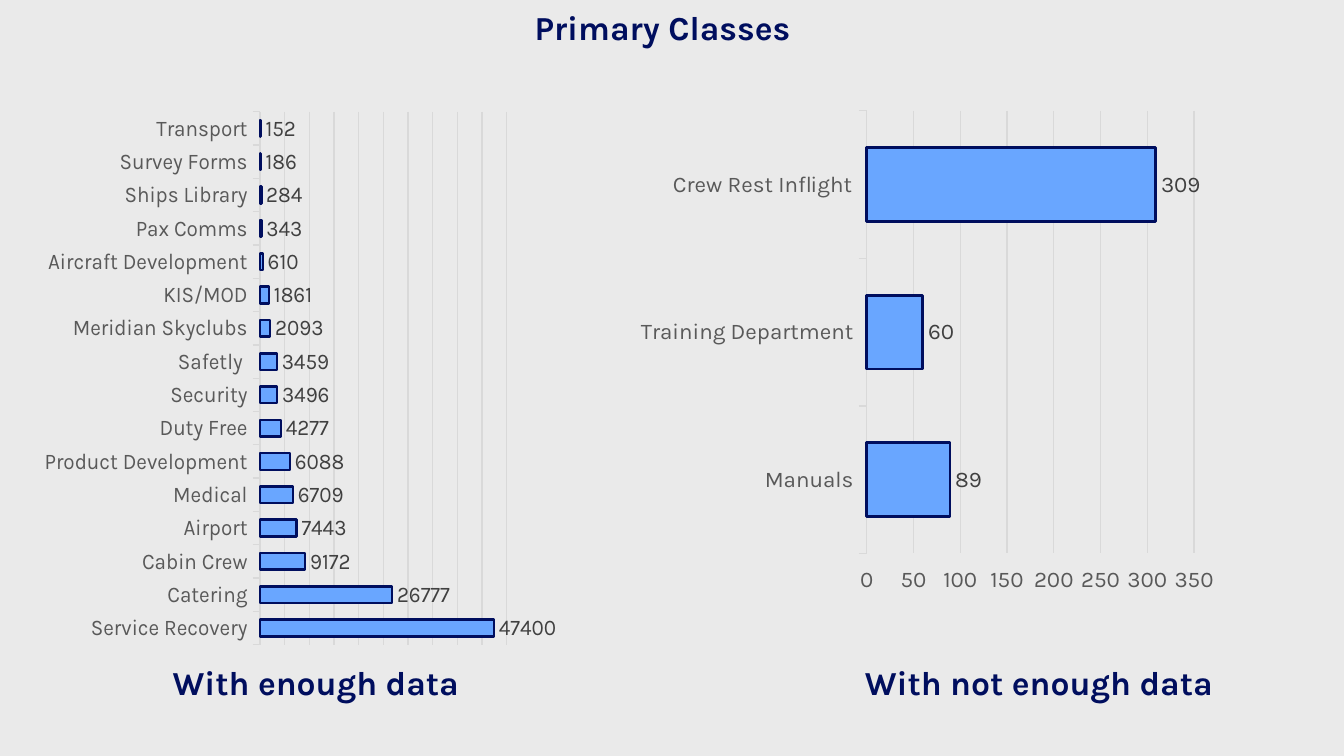
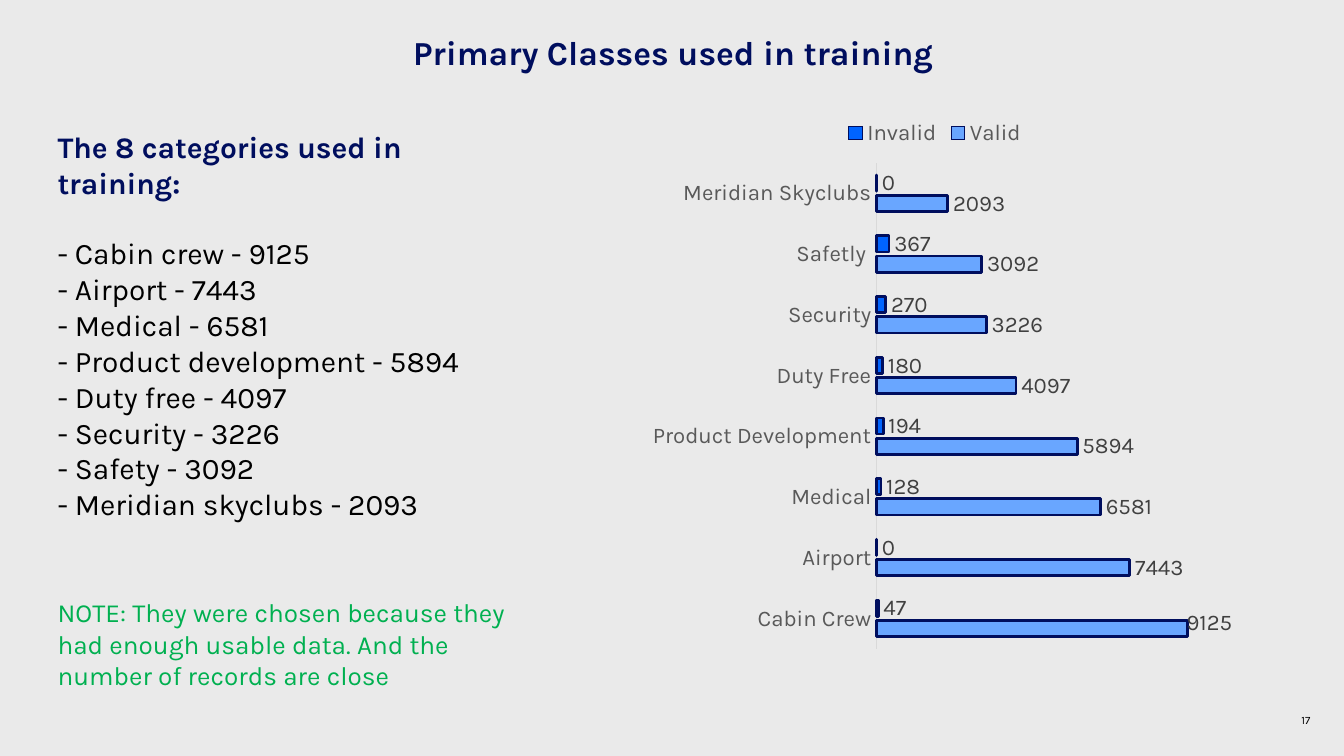
from lxml.etree import SubElement
from pptx import Presentation
from pptx.chart.data import CategoryChartData
from pptx.dml.color import RGBColor
from pptx.enum.chart import XL_CHART_TYPE, XL_LABEL_POSITION, XL_LEGEND_POSITION, XL_TICK_MARK
from pptx.enum.text import MSO_ANCHOR, MSO_AUTO_SIZE, PP_ALIGN
from pptx.oxml.ns import qn
from pptx.util import Inches, Pt

PAPER = RGBColor(0xEA, 0xEA, 0xEA)
NAVY = RGBColor(0x00, 0x0E, 0x5E)
SKY = RGBColor(0x69, 0xA6, 0xFF)
BLUE = RGBColor(0x00, 0x64, 0xFF)
GREEN = RGBColor(0x00, 0xB0, 0x50)
BLACK = RGBColor(0x00, 0x00, 0x00)
AXIS_GRAY = RGBColor(0x59, 0x59, 0x59)
LABEL_GRAY = RGBColor(0x40, 0x40, 0x40)
GRID_GRAY = RGBColor(0xD9, 0xD9, 0xD9)

FONT = "Karla"
TITLE = {"size": Pt(18), "bold": True, "color": NAVY}
HEADING = {"size": Pt(16), "bold": True, "color": NAVY}
LISTING = {"size": Pt(16), "color": BLACK}
NOTE = {"size": Pt(14), "color": GREEN}
PAGE_NUMBER = {"size": Pt(6), "color": BLACK}
AXIS_TEXT = {"size": Pt(12), "color": AXIS_GRAY}
LABEL_TEXT = {"size": Pt(12), "color": LABEL_GRAY}

TITLE_WIDTH, TITLE_HEIGHT = 4.7, 0.4

ENOUGH = {
    "Service Recovery": 47400, "Catering": 26777, "Cabin Crew": 9172, "Airport": 7443,
    "Medical": 6709, "Product Development": 6088, "Duty Free": 4277, "Security": 3496,
    "Safetly ": 3459, "Meridian Skyclubs": 2093, "KIS/MOD": 1861,
    "Aircraft Development": 610, "Pax Comms": 343, "Ships Library": 284,
    "Survey Forms": 186, "Transport": 152,
}
NOT_ENOUGH = {"Manuals": 89, "Training Department": 60, "Crew Rest Inflight": 309}
TRAINING = {
    "Cabin Crew": (9125, 47), "Airport": (7443, 0), "Medical": (6581, 128),
    "Product Development": (5894, 194), "Duty Free": (4097, 180), "Security": (3226, 270),
    "Safetly ": (3092, 367), "Meridian Skyclubs": (2093, 0),
}
TRAINING_LINES = [
    "- Cabin crew - 9125", "- Airport - 7443", "- Medical - 6581",
    "- Product development - 5894", "- Duty free - 4097", "- Security - 3226",
    "- Safety - 3092", "- Meridian skyclubs - 2093",
]


def style_font(font, style):
    for name, value in {"name": FONT, **style}.items():
        if name == "color":
            font.color.rgb = value
        else:
            setattr(font, name, value)


def add_page(deck):
    page = deck.slides.add_slide(deck.slide_layouts[6])
    page.background.fill.solid()
    page.background.fill.fore_color.rgb = PAPER
    return page


def add_text(page, box, lines, style, align=PP_ALIGN.LEFT):
    frame = page.shapes.add_textbox(*map(Inches, box)).text_frame
    frame.word_wrap = True
    frame.auto_size = MSO_AUTO_SIZE.SHAPE_TO_FIT_TEXT
    para = frame.paragraphs[0]
    para.alignment = align
    for index, line in enumerate(lines):
        if index:
            para.add_line_break()
        span = para.add_run()
        span.text = line
        style_font(span.font, style)
    return frame


def add_title(page, left, top, text):
    add_text(page, (left, top, TITLE_WIDTH, TITLE_HEIGHT), [text], TITLE, PP_ALIGN.CENTER)


def add_page_number(page, number):
    frame = add_text(page, (7.5, 5.28, 2.25, 0.15), [number], PAGE_NUMBER, PP_ALIGN.RIGHT)
    frame.auto_size = MSO_AUTO_SIZE.NONE
    frame.vertical_anchor = MSO_ANCHOR.MIDDLE
    for side in ("left", "top", "right", "bottom"):
        setattr(frame, f"margin_{side}", 0)


def style_series(series, color):
    series.format.fill.solid()
    series.format.fill.fore_color.rgb = color
    series.format.line.color.rgb = NAVY
    series.format.line.width = Pt(1.5)
    labels = series.data_labels
    labels.show_value = True
    labels.position = XL_LABEL_POSITION.OUTSIDE_END
    style_font(labels.font, LABEL_TEXT)


def shift_label(series, index, across, down):
    label = series.points[index].data_label
    label.position = XL_LABEL_POSITION.OUTSIDE_END
    style_font(label.font, LABEL_TEXT)
    element = series.data_labels._element.findall(qn("c:dLbl"))[0]
    layout = SubElement(element, qn("c:layout"))
    element.find(qn("c:idx")).addnext(layout)
    manual = SubElement(layout, qn("c:manualLayout"))
    for name, value in {"c:x": across, "c:y": down}.items():
        SubElement(manual, qn(name)).set("val", str(value))


def style_grid_line(line):
    line.color.rgb = GRID_GRAY
    line.width = Pt(0.75)


def add_bars(page, box, categories, series, maximum, step, gap=100, overlap=0,
             grid=True, values_shown=False):
    data = CategoryChartData()
    data.categories = categories
    for name, values, _ in series:
        data.add_series(name, values)
    chart = page.shapes.add_chart(
        XL_CHART_TYPE.BAR_CLUSTERED, *map(Inches, box), data).chart
    chart.has_title = False
    chart.has_legend = False
    style_font(chart.font, {"size": Pt(10), "color": BLACK})

    plot = chart.plots[0]
    plot.vary_by_categories = False
    plot.gap_width = gap
    plot.overlap = overlap
    for bars, (_, _, color) in zip(plot.series, series):
        style_series(bars, color)

    category_axis = chart.category_axis
    category_axis.major_tick_mark = XL_TICK_MARK.OUTSIDE if grid else XL_TICK_MARK.NONE
    style_font(category_axis.tick_labels.font, AXIS_TEXT)
    style_grid_line(category_axis.format.line)

    value_axis = chart.value_axis
    value_axis.minimum_scale = 0
    value_axis.maximum_scale = maximum
    value_axis.major_unit = step
    value_axis.visible = values_shown
    value_axis.has_major_gridlines = grid
    if grid:
        style_grid_line(value_axis.major_gridlines.format.line)
    if values_shown:
        value_axis.format.line.fill.background()
        style_font(value_axis.tick_labels.font, AXIS_TEXT)
    return chart


def add_legend(chart):
    chart.has_legend = True
    chart.legend.position = XL_LEGEND_POSITION.TOP
    chart.legend.include_in_layout = False
    style_font(chart.legend.font, AXIS_TEXT)


def build_classes_page(deck):
    page = add_page(deck)
    chart = add_bars(page, (0.26, 0.75, 3.88, 4.13), list(ENOUGH),
                     [("Series 1", list(ENOUGH.values()), SKY)], 50000, 5000)
    chart.font.size = Pt(12)
    add_title(page, 2.58, 0, "Primary Classes")
    add_bars(page, (4.68, 0.75, 4.44, 3.74), list(NOT_ENOUGH),
             [("Series 1", list(NOT_ENOUGH.values()), SKY)], 350, 50, values_shown=True)
    add_title(page, 0, 4.88, "With enough data")
    add_title(page, 5.38, 4.88, "With not enough data")


def build_training_page(deck):
    page = add_page(deck)
    add_page_number(page, "17")
    add_title(page, 2.66, 0.19, "Primary Classes used in training")
    add_text(page, (0.33, 1.7, 3.25, 2.79), TRAINING_LINES, LISTING)
    add_text(page, (0.33, 4.39, 3.86, 1.04),
             ["NOTE: They were chosen because they had enough usable data. "
              "And the number of records are close"], NOTE)
    add_text(page, (0.33, 0.91, 3.6, 0.37), ["The 8 categories used in training:"], HEADING)
    valid, invalid = zip(*TRAINING.values())
    chart = add_bars(page, (4.77, 0.78, 4.4, 4.13), list(TRAINING),
                     [("Valid", valid, SKY), ("Invalid", invalid, BLUE)],
                     10000, 1000, gap=150, overlap=-25, grid=False)
    shift_label(chart.plots[0].series[0], 0, -0.01, -0.01)
    add_legend(chart)


def main():
    deck = Presentation()
    deck.slide_width = Inches(10)
    deck.slide_height = deck.slide_width * 9 // 16
    build_classes_page(deck)
    build_training_page(deck)
    deck.save("out.pptx")


if __name__ == "__main__":
    main()
